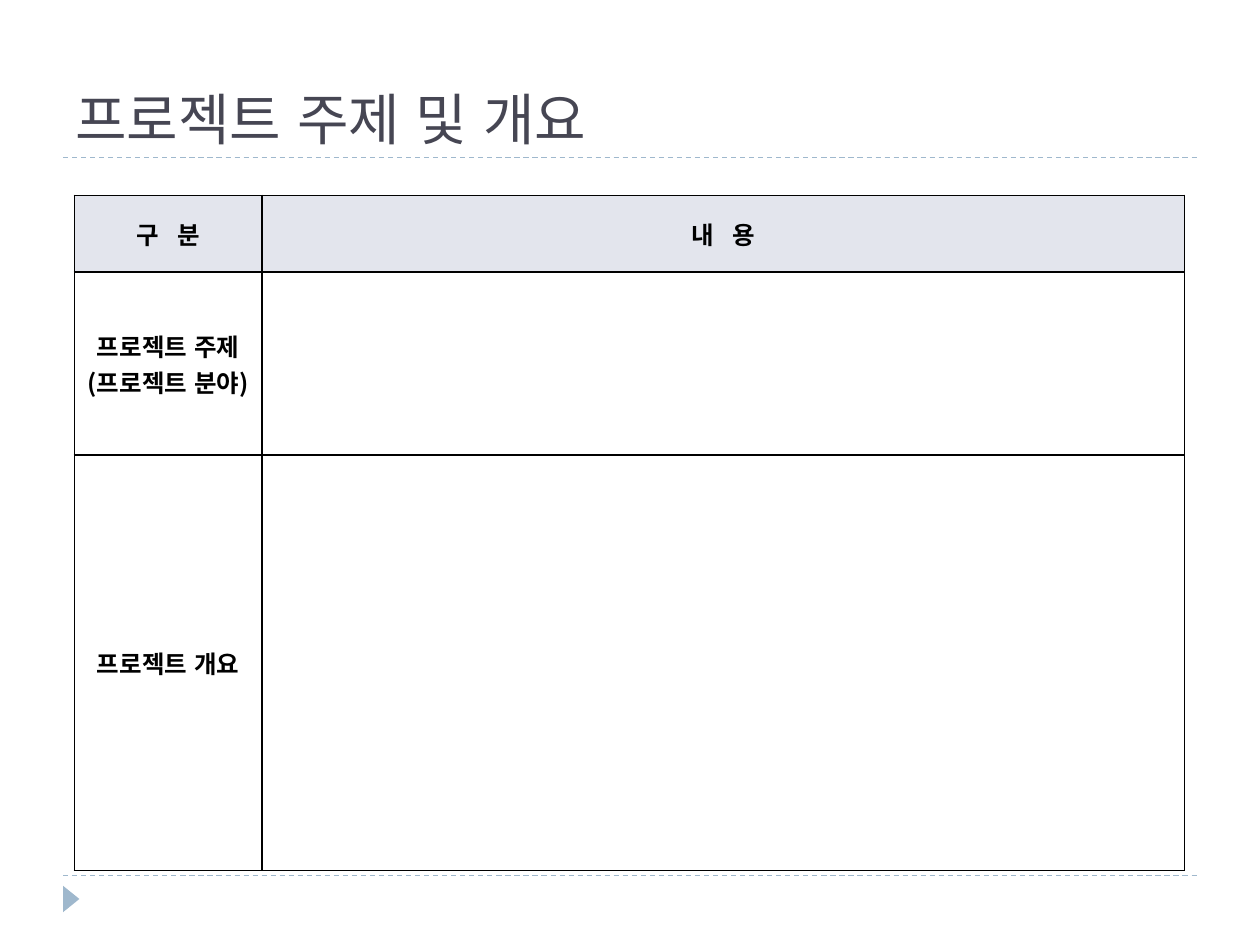
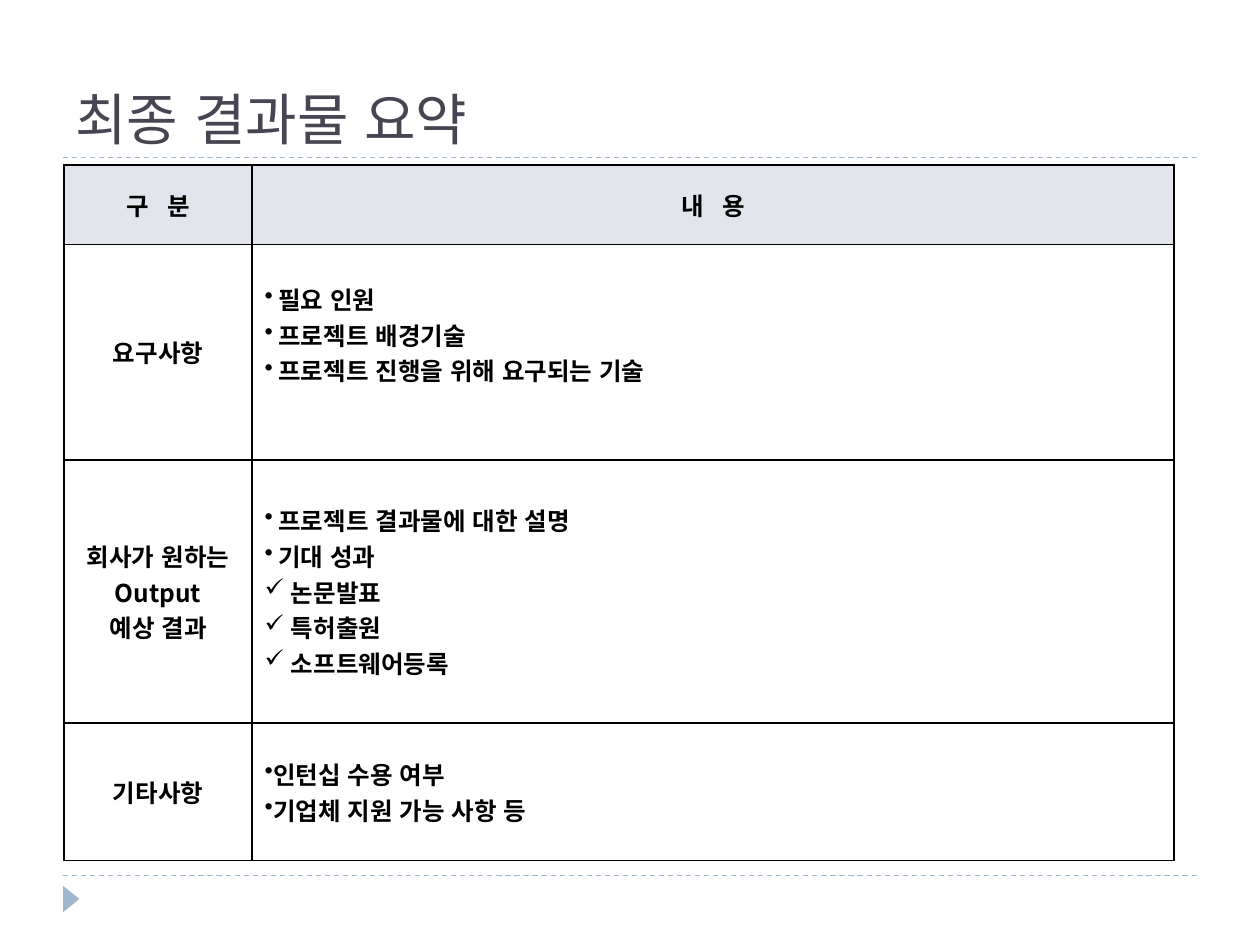
from lxml import etree
from pptx import Presentation
from pptx.dml.color import RGBColor
from pptx.enum.dml import MSO_LINE
from pptx.enum.shapes import MSO_CONNECTOR, MSO_SHAPE
from pptx.enum.text import MSO_ANCHOR, PP_ALIGN
from pptx.oxml.ns import qn
from pptx.util import Inches, Pt

DASH = MSO_LINE.DASH
STRAIGHT = MSO_CONNECTOR.STRAIGHT
TRIANGLE = MSO_SHAPE.ISOSCELES_TRIANGLE
MIDDLE, BOTTOM = MSO_ANCHOR.MIDDLE, MSO_ANCHOR.BOTTOM
CENTER, LEFT = PP_ALIGN.CENTER, PP_ALIGN.LEFT

COLORS = {"accent": "9FB8CD", "title": "464653", "header": "E3E5ED", "ink": "000000"}
TITLE_FONT = "TeX Gyre Bonum"
KOREAN_FONT = "Noto Sans CJK KR"
COLUMN_WIDTHS = (1.49, 7.32)
HEADINGS = ("구 분", "내 용")
HEADING_GAP = 630
DOT, CHECK = "•", "✓"


def rgb(name):
    return RGBColor.from_string(COLORS[name])


def add_span(para, text, size, color, font=KOREAN_FONT, bold=False):
    span = para.add_run()
    span.text = text
    span.font.size = Pt(size)
    span.font.bold = bold
    span.font.name = font
    span.font.color.rgb = rgb(color)
    properties = span.font._element
    properties.set("lang", "ko-KR")
    east_asian = etree.SubElement(properties, qn("a:ea"))
    east_asian.set("typeface", KOREAN_FONT)
    return span


def add_title(page, text):
    box = page.shapes.add_textbox(Inches(0.5), Inches(0.25), Inches(9), Inches(1))
    frame = box.text_frame
    frame.word_wrap = True
    frame.vertical_anchor = BOTTOM
    add_span(frame.paragraphs[0], text, 32, "title", TITLE_FONT)


def add_rule(page, top):
    rule = page.shapes.add_connector(
        STRAIGHT, Inches(0.5), Inches(top), Inches(9.5), Inches(top))
    rule.line.color.rgb = rgb("accent")
    rule.line.width = Pt(0.75)
    rule.line.dash_style = DASH
    etree.SubElement(rule._element.spPr, qn("a:effectLst"))


def add_corner_marker(page):
    marker = page.shapes.add_shape(
        TRIANGLE, Inches(0.46), Inches(7.07), Inches(0.21), Inches(0.13))
    marker.rotation = 90
    marker.shadow.inherit = False
    marker.fill.solid()
    marker.fill.fore_color.rgb = rgb("accent")
    marker.line.fill.background()


def add_page(deck, title):
    page = deck.slides.add_slide(deck.slide_layouts[6])
    for top in (6.95, 1.25):
        add_rule(page, top)
    add_corner_marker(page)
    add_title(page, title)
    return page


def style_cell(cell, fill=None):
    cell.vertical_anchor = MIDDLE
    properties = cell._tc.get_or_add_tcPr()
    for side in ("lnL", "lnR", "lnT", "lnB"):
        border = etree.SubElement(properties, qn(f"a:{side}"), w=str(Pt(1)))
        solid = etree.SubElement(border, qn("a:solidFill"))
        etree.SubElement(solid, qn("a:srgbClr"), val=COLORS["ink"])
    if fill:
        cell.fill.solid()
        cell.fill.fore_color.rgb = rgb(fill)
    else:
        cell.fill.background()


def cell_paragraphs(cell, count):
    frame = cell.text_frame
    return [frame.paragraphs[0]] + [frame.add_paragraph() for _ in range(count - 1)]


def write_heading(cell, text):
    para = cell.text_frame.paragraphs[0]
    para.alignment = CENTER
    for part in text:
        span = add_span(para, part, 14, "ink", bold=True)
        if part == " ":
            span.font._element.set("spc", str(HEADING_GAP))


def write_label(cell, lines):
    for para, line in zip(cell_paragraphs(cell, len(lines)), lines):
        para.alignment = CENTER
        add_span(para, line, 14, "ink", bold=True)


def write_bullets(cell, items):
    for para, (mark, indent, text) in zip(cell_paragraphs(cell, len(items)), items):
        para.alignment = LEFT
        properties = para._p.get_or_add_pPr()
        properties.set("marL", str(Inches(indent)))
        properties.set("indent", str(-Inches(indent)))
        etree.SubElement(properties, qn("a:buChar"), char=mark)
        add_span(para, text, 14, "ink", bold=True)


def add_summary_table(page, left, top, heights, rows):
    frame = page.shapes.add_table(
        len(heights), len(COLUMN_WIDTHS), Inches(left), Inches(top),
        Inches(sum(COLUMN_WIDTHS)), Inches(sum(heights)))
    table = frame.table
    table.first_row = False
    table.horz_banding = False
    for column, width in zip(table.columns, COLUMN_WIDTHS):
        column.width = Inches(width)
    for row, height in zip(table.rows, heights):
        row.height = Inches(height)
    for column, heading in enumerate(HEADINGS):
        style_cell(table.cell(0, column), "header")
        write_heading(table.cell(0, column), heading)
    for index, (label, items) in enumerate(rows, 1):
        label_cell, content_cell = table.cell(index, 0), table.cell(index, 1)
        style_cell(label_cell)
        style_cell(content_cell)
        write_label(label_cell, label)
        write_bullets(content_cell, items)
    return table


def main():
    deck = Presentation()
    deck.slide_width, deck.slide_height = Inches(10), Inches(7.5)

    overview = add_page(deck, "프로젝트 주제 및 개요")
    add_summary_table(overview, 0.59, 1.55, (0.61, 1.45, 3.3), [
        (("프로젝트 주제", "(프로젝트 분야)"), ()),
        (("프로젝트 개요",), ()),
    ])

    results = add_page(deck, "최종 결과물 요약")
    requirements = [(DOT, 0.11, text) for text in (
        "필요 인원", "프로젝트 배경기술", "프로젝트 진행을 위해 요구되는 기술")]
    outputs = [(DOT, 0.11, text) for text in ("프로젝트 결과물에 대한 설명", "기대 성과")]
    outputs += [(CHECK, 0.21, text) for text in ("논문발표", "특허출원", "소프트웨어등록")]
    others = [(DOT, 0.06, text) for text in ("인턴십 수용 여부", "기업체 지원 가능 사항 등")]
    table = add_summary_table(results, 0.51, 1.31, (0.63, 1.71, 2.09, 1.09), [
        (("요구사항",), requirements),
        (("회사가 원하는", "Output", "예상 결과"), outputs),
        (("기타사항",), others),
    ])
    table.cell(1, 1).margin_bottom = Inches(0.33)

    deck.save("out.pptx")


if __name__ == "__main__":
    main()
